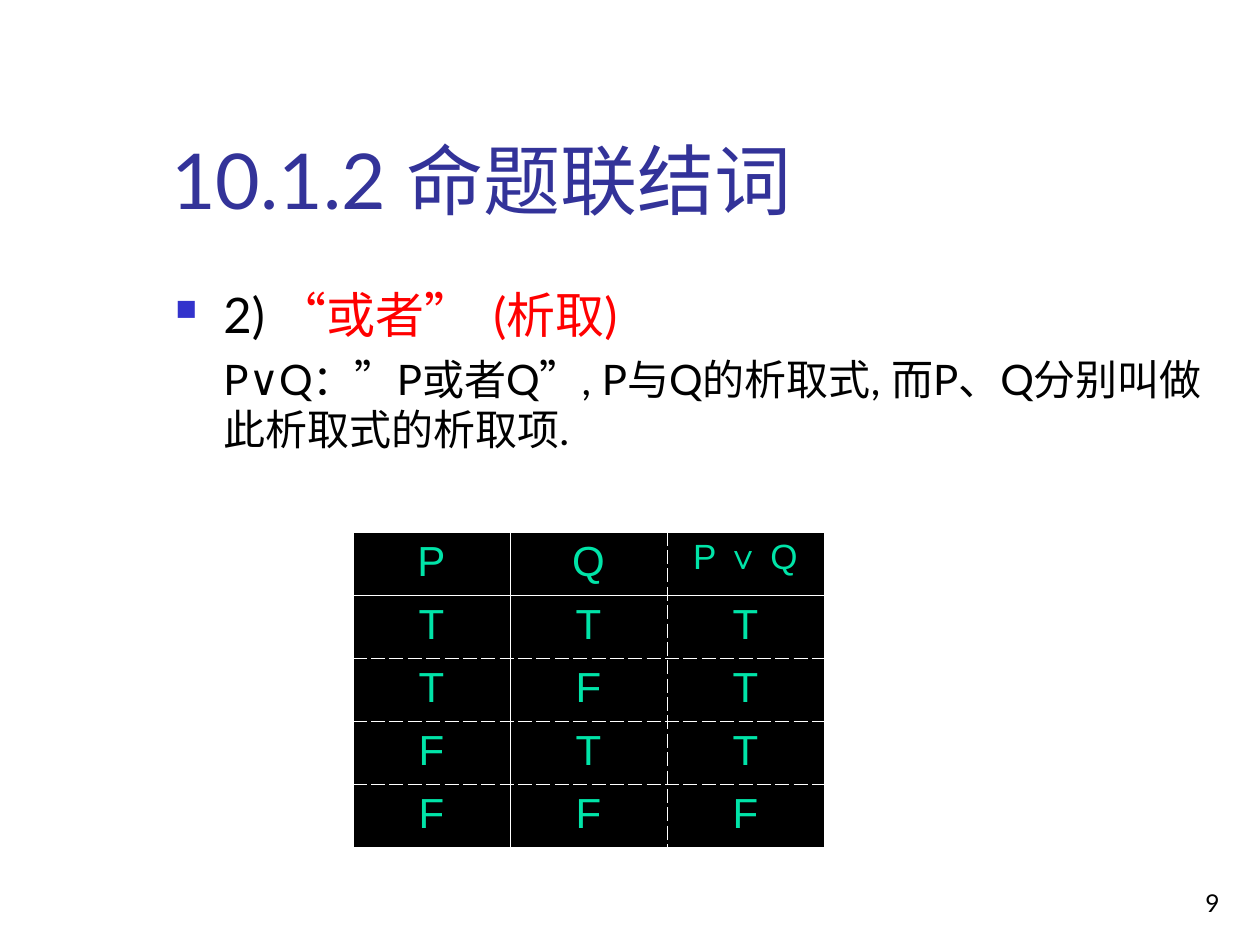
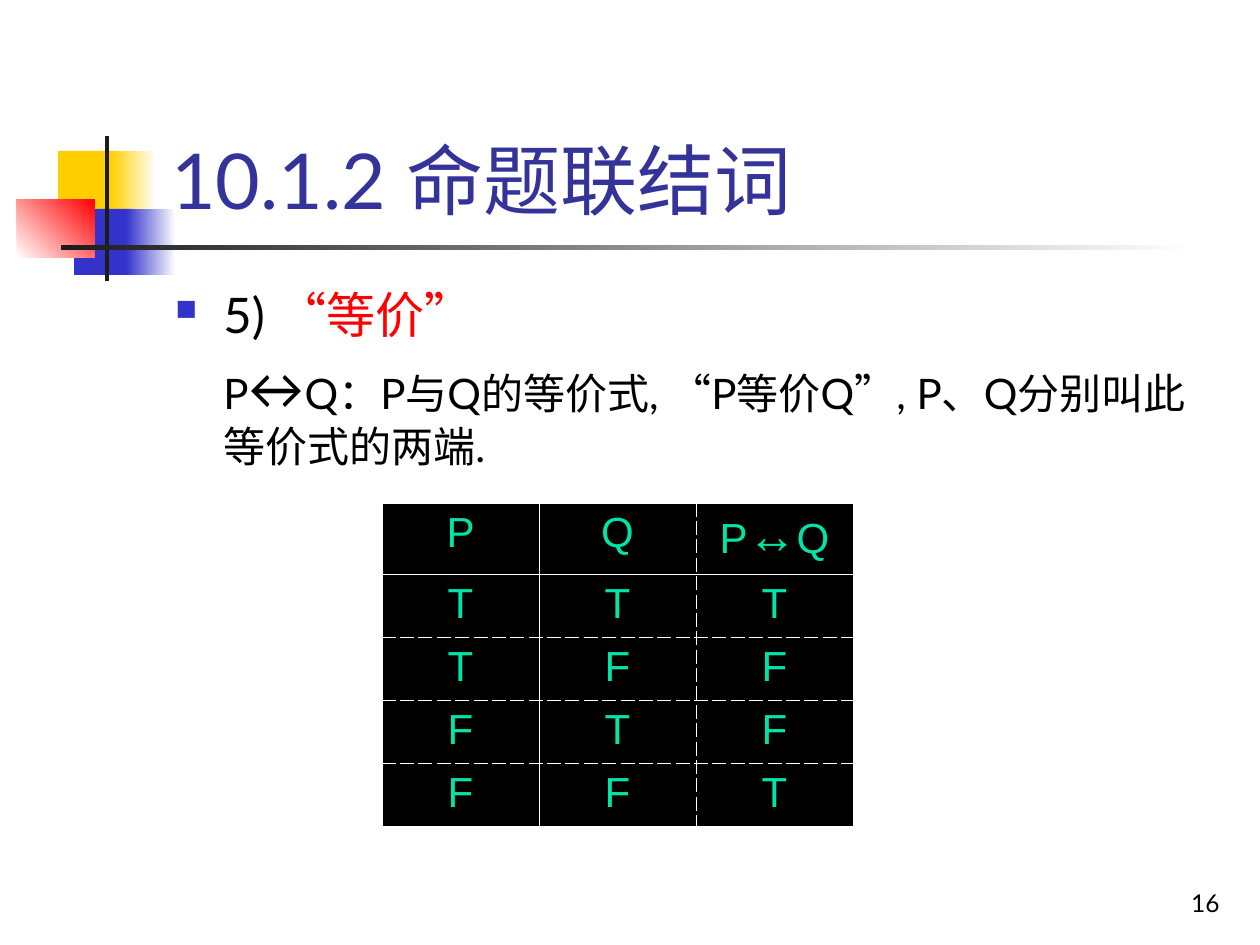
import itertools

import lxml.etree
import pptx
import pptx.dml.color
import pptx.enum.shapes
import pptx.enum.text
import pptx.oxml.ns
import pptx.util

RGB = pptx.dml.color.RGBColor
ALIGN = pptx.enum.text.PP_ALIGN
ANCHOR = pptx.enum.text.MSO_ANCHOR
BLACK = RGB(0x00, 0x00, 0x00)
WHITE = RGB(0xFF, 0xFF, 0xFF)
RED = RGB(0xFF, 0x00, 0x00)
YELLOW = RGB(0xFF, 0xCF, 0x01)
BLUE = RGB(0x33, 0x33, 0xCC)
CHARCOAL = RGB(0x1C, 0x1C, 0x1C)
TITLE_BLUE = RGB(0x33, 0x33, 0x99)
TABLE_GREEN = RGB(0x00, 0xE4, 0xA8)
PX = 914400 / 126
TEXT_INDENT = 48
COLUMN_WIDTH = 157
ROW_HEIGHT = 63


def px(*lengths):
    return [pptx.util.Emu(round(length * PX)) for length in lengths]


def write(paragraph, text, size=24, color=BLACK, font="Lato", spacing=0):
    run = paragraph.add_run()
    run.text = text
    run.font.size = pptx.util.Pt(size)
    run.font.name = font
    run.font.color.rgb = color
    if spacing:
        run._r.get_or_add_rPr().set("spc", str(spacing))


ornaments = [
    (58, 151, 60, 66, YELLOW, None, 0),
    (111, 151, 45, 66, YELLOW, WHITE, 0),
    (74, 209, 58, 66, BLUE, None, 0),
    (126, 209, 50, 66, BLUE, WHITE, 0),
    (17, 199, 78, 59, WHITE, RED, 45),
    (105, 136, 4, 145, CHARCOAL, None, 0),
    (61, 245, 1134, 5, CHARCOAL, WHITE, 0),
]

connectives = [
    {
        "page": "9",
        "ornaments": [],
        "heading": [("2) ", BLACK, 0), ("“或者”", RED, 0), (" ", RED, 540), ("(析取)", RED, 0)],
        "meaning": [("P∨Q：”P或者Q”, P与Q的析取式, 而P、Q分别叫做此析取式的析取项.", 24)],
        "table_at": (353, 532),
        "header_height": 63,
        "formula": [("P ∨ Q", 20)],
        "values": "TTTF",
    },
    {
        "page": "16",
        "ornaments": ornaments,
        "heading": [("5) ", BLACK, 0), ("“等价”", RED, 0)],
        "meaning": [("P", 24), ("↔", 32), ("Q：P与Q的等价式, “P等价Q”, P、Q分别叫此等价式的两端.", 24)],
        "table_at": (382, 503),
        "header_height": 71,
        "formula": [("P", 24), ("↔", 28), ("Q", 24)],
        "values": "TFFT",
    },
]

deck = pptx.Presentation()
deck.slide_width, deck.slide_height = px(1260, 945)

for connective in connectives:
    slide = deck.slides.add_slide(deck.slide_layouts[6])

    for left, top, width, height, start, end, angle in connective["ornaments"]:
        ornament = slide.shapes.add_shape(
            pptx.enum.shapes.MSO_SHAPE.RECTANGLE, *px(left, top, width, height))
        ornament.shadow.inherit = False
        ornament.line.fill.background()
        if end is None:
            ornament.fill.solid()
            ornament.fill.fore_color.rgb = start
        else:
            ornament.fill.gradient()
            ornament.fill.gradient_angle = angle
            for stop, color in zip(ornament.fill.gradient_stops, (start, end)):
                stop.color.rgb = color

    title = slide.shapes.add_textbox(*px(159, 29, 1074, 202)).text_frame
    title.word_wrap = True
    title.vertical_anchor = ANCHOR.BOTTOM
    write(title.paragraphs[0], "10.1.2 命题联结词", size=44, color=TITLE_BLUE)

    body = slide.shapes.add_textbox(*px(163, 278, 1071, 567)).text_frame
    body.word_wrap = True
    heading = body.paragraphs[0]
    meaning = body.add_paragraph()
    meaning.space_before = pptx.util.Pt(6)
    indent = px(TEXT_INDENT)[0]
    for paragraph, first_line in ((heading, -indent), (meaning, 0)):
        properties = paragraph._p.get_or_add_pPr()
        properties.set("marL", str(indent))
        properties.set("indent", str(first_line))
    bullet = heading._p.get_or_add_pPr()
    bullet_color = lxml.etree.SubElement(bullet, pptx.oxml.ns.qn("a:buClr"))
    lxml.etree.SubElement(bullet_color, pptx.oxml.ns.qn("a:srgbClr"), val=str(BLUE))
    lxml.etree.SubElement(bullet, pptx.oxml.ns.qn("a:buSzPct"), val="60000")
    lxml.etree.SubElement(bullet, pptx.oxml.ns.qn("a:buChar"), char="■")
    for text, color, spacing in connective["heading"]:
        write(heading, text, size=28, color=color, spacing=spacing)
    for text, size in connective["meaning"]:
        write(meaning, text, size=size)

    header_height = connective["header_height"]
    truth_table = slide.shapes.add_table(
        5, 3, *px(*connective["table_at"], 3 * COLUMN_WIDTH, header_height + 4 * ROW_HEIGHT)).table
    for column in truth_table.columns:
        column.width = px(COLUMN_WIDTH)[0]
    for number, row in enumerate(truth_table.rows):
        row.height = px(ROW_HEIGHT if number else header_height)[0]

    truth_rows = [[[("P", 24)], [("Q", 24)], connective["formula"]]]
    for (p, q), value in zip(itertools.product("TF", repeat=2), connective["values"]):
        truth_rows.append([[(letter, 24)] for letter in (p, q, value)])

    for r, truth_row in enumerate(truth_rows):
        for c, pieces in enumerate(truth_row):
            cell = truth_table.cell(r, c)
            cell.fill.solid()
            cell.fill.fore_color.rgb = BLACK
            paragraph = cell.text_frame.paragraphs[0]
            paragraph.alignment = ALIGN.CENTER
            for text, size in pieces:
                write(paragraph, text, size=size, color=TABLE_GREEN, font="Arial")
            dashed = {"lnL": c == 2, "lnR": c == 1, "lnT": r > 1, "lnB": 0 < r < 4}
            for position, (side, is_dashed) in enumerate(dashed.items()):
                border = lxml.etree.Element(pptx.oxml.ns.qn("a:" + side), w="5715")
                border_fill = lxml.etree.SubElement(border, pptx.oxml.ns.qn("a:solidFill"))
                lxml.etree.SubElement(border_fill, pptx.oxml.ns.qn("a:srgbClr"), val=str(WHITE))
                lxml.etree.SubElement(
                    border, pptx.oxml.ns.qn("a:prstDash"), val="dash" if is_dashed else "solid")
                cell._tc.get_or_add_tcPr().insert(position, border)

    page_number = slide.shapes.add_textbox(*px(970, 861, 262, 63)).text_frame
    page_number.word_wrap = True
    page_number.vertical_anchor = ANCHOR.BOTTOM
    page_number.paragraphs[0].alignment = ALIGN.RIGHT
    write(page_number.paragraphs[0], connective["page"], size=14)

deck.save("out.pptx")
